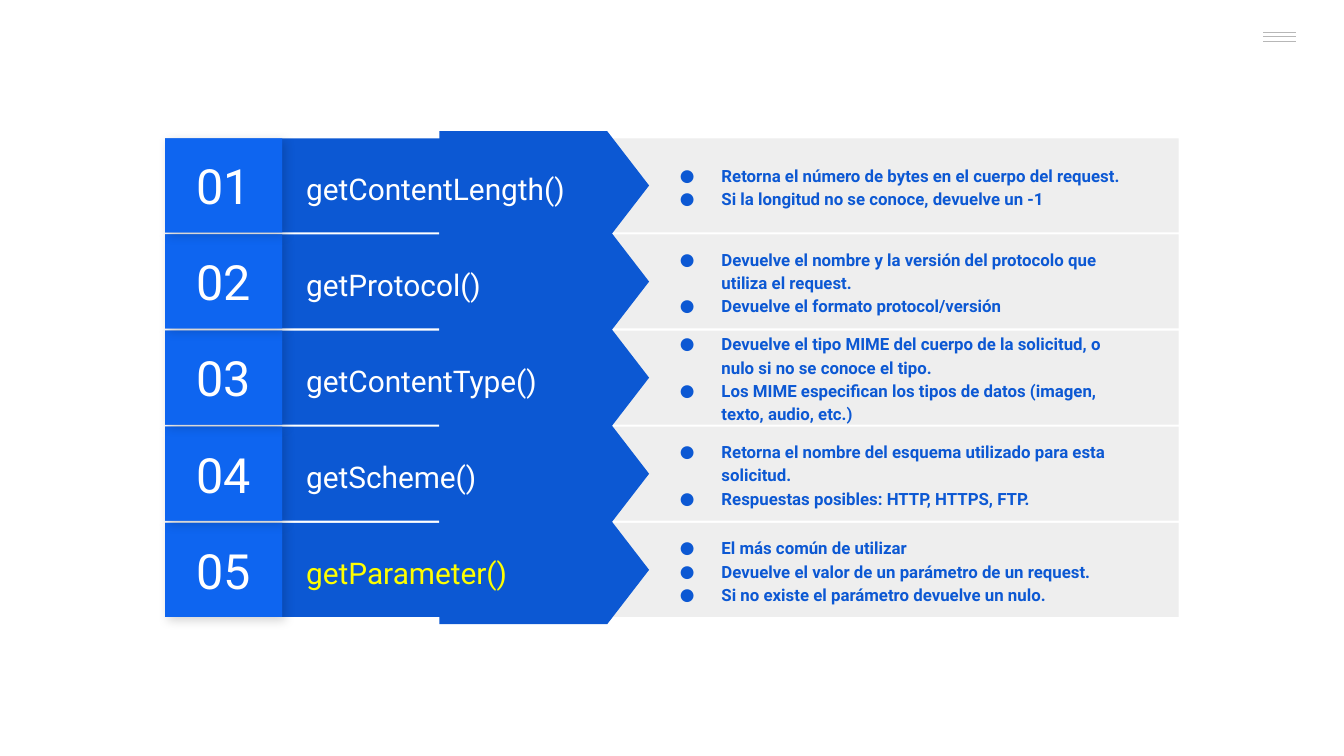
from lxml import etree
from pptx import Presentation
from pptx.dml.color import RGBColor
from pptx.enum.shapes import MSO_CONNECTOR, MSO_SHAPE
from pptx.enum.text import MSO_ANCHOR, PP_ALIGN
from pptx.oxml import parse_xml
from pptx.oxml.ns import nsdecls, qn
from pptx.util import Inches, Pt

COLORS = {
    "blue": "0C58D3", "bright": "0E65F0", "shade": "0D5DDF", "panel": "EEEEEE",
    "white": "FFFFFF", "yellow": "FFFF00", "menu": "B7B7B7",
}
ROWS = [
    ("getContentLength()", "white", [
        "Retorna el número de bytes en el cuerpo del request.",
        "Si la longitud no se conoce, devuelve un -1"]),
    ("getProtocol()", "white", [
        "Devuelve el nombre y la versión del protocolo que utiliza el request.",
        "Devuelve el formato protocol/versión"]),
    ("getContentType()", "white", [
        "Devuelve el tipo MIME del cuerpo de la solicitud, o nulo si no se conoce el tipo.",
        "Los MIME especifican los tipos de datos (imagen, texto, audio, etc.)"]),
    ("getScheme()", "white", [
        "Retorna el nombre del esquema utilizado para esta solicitud.",
        "Respuestas posibles: HTTP, HTTPS, FTP."]),
    ("getParameter()", "yellow", [
        "El más común de utilizar",
        "Devuelve el valor de un parámetro de un request.",
        "Si no existe el parámetro devuelve un nulo."]),
]
FIRST_TOP, LAST_TOP, ROW_HEIGHT = 1.03, 3.89, 0.7
PITCH = (LAST_TOP - FIRST_TOP) / (len(ROWS) - 1)
ARROW_CENTER, ARROW_LENGTH, ARROW_SPAN = 4.05, 1.56, 0.81


def add_block(group, kind, left, top, width, height, color):
    shape = group.shapes.add_shape(
        kind, Inches(left), Inches(top), Inches(width), Inches(height))
    shape.shadow.inherit = False
    shape.fill.solid()
    shape.fill.fore_color.rgb = RGBColor.from_string(COLORS[color])
    shape.line.fill.background()
    return shape


def write_text(shape, lines, size, color, bold=False, bullets=False, **formats):
    frame = shape.text_frame
    frame.word_wrap = True
    frame.vertical_anchor = MSO_ANCHOR.MIDDLE
    for side in ("left", "right", "top", "bottom"):
        setattr(frame, f"margin_{side}", Inches(0.1))
    frame.text = "\n".join(lines)
    for paragraph in frame.paragraphs:
        if bullets:
            properties = paragraph._p.get_or_add_pPr()
            properties.set("marL", str(Inches(0.5)))
            properties.set("indent", str(Inches(-0.31)))
            bullet_color = etree.SubElement(properties, qn("a:buClr"))
            etree.SubElement(bullet_color, qn("a:srgbClr"), val=COLORS[color])
            etree.SubElement(properties, qn("a:buSzPts"), val=str(size * 100))
            etree.SubElement(properties, qn("a:buFont"), typeface="Roboto")
            etree.SubElement(properties, qn("a:buChar"), char="●")
        for name, value in formats.items():
            setattr(paragraph, name, value)
        for run in paragraph.runs:
            font_values = {"name": "Roboto", "size": Pt(size), "bold": bold}
            for name, value in font_values.items():
                setattr(run.font, name, value)
            run.font.color.rgb = RGBColor.from_string(COLORS[color])


presentation = Presentation()
presentation.slide_width = Inches(10)
presentation.slide_height = Inches(10) * 9 // 16
slide = presentation.slides.add_slide(presentation.slide_layouts[6])

# Menu icon in the corner
for y in (0.24, 0.27, 0.31):
    line = slide.shapes.add_connector(
        MSO_CONNECTOR.STRAIGHT, Inches(9.4), Inches(y), Inches(9.64), Inches(y))
    line.line.color.rgb = RGBColor.from_string(COLORS["menu"])
    line.line.width = Pt(0.75)
    etree.SubElement(line._element.spPr, qn("a:effectLst"))

# Method rows, stacked from the bottom up so that upper arrows overlap lower ones
for index, (method, method_color, notes) in reversed(list(enumerate(ROWS))):
    top = FIRST_TOP + index * PITCH
    group = slide.shapes.add_group_shape()

    # Grey panel, blue band and arrow
    add_block(group, MSO_SHAPE.RECTANGLE, 3.93, top, 4.84, ROW_HEIGHT, "panel")
    add_block(group, MSO_SHAPE.RECTANGLE, 2.1, top, 2.33, ROW_HEIGHT, "blue")
    arrow = add_block(
        group, MSO_SHAPE.FLOWCHART_OFFPAGE_CONNECTOR,
        ARROW_CENTER - ARROW_SPAN / 2, top + (ROW_HEIGHT - ARROW_LENGTH) / 2,
        ARROW_SPAN, ARROW_LENGTH, "blue")
    arrow.rotation = 270

    # Method name
    label = group.shapes.add_textbox(
        Inches(2.18), Inches(top + 0.08), Inches(2.45), Inches(0.54))
    write_text(label, [method], 16, method_color, line_spacing=1.15)

    # Number tile over its shadow
    backing = add_block(group, MSO_SHAPE.RECTANGLE, 1.23, top, 0.87, ROW_HEIGHT, "shade")
    backing._element.spPr.find(qn("a:effectLst")).append(parse_xml(
        f'<a:outerShdw {nsdecls("a")} blurRad="{Pt(5.6)}" dist="{Pt(2.2)}" '
        'dir="2700000" algn="bl" rotWithShape="0"><a:srgbClr val="000000">'
        '<a:alpha val="17000"/></a:srgbClr></a:outerShdw>'))
    tile = add_block(group, MSO_SHAPE.RECTANGLE, 1.23, top, 0.87, ROW_HEIGHT, "bright")
    write_text(tile, [f"{index + 1:02}"], 26, "white", alignment=PP_ALIGN.CENTER)

    # Description list
    description = group.shapes.add_textbox(
        Inches(4.77), Inches(top), Inches(3.76), Inches(ROW_HEIGHT))
    write_text(description, notes, 9, "blue", bold=True, bullets=True, line_spacing=1.15)

presentation.save("out.pptx")
